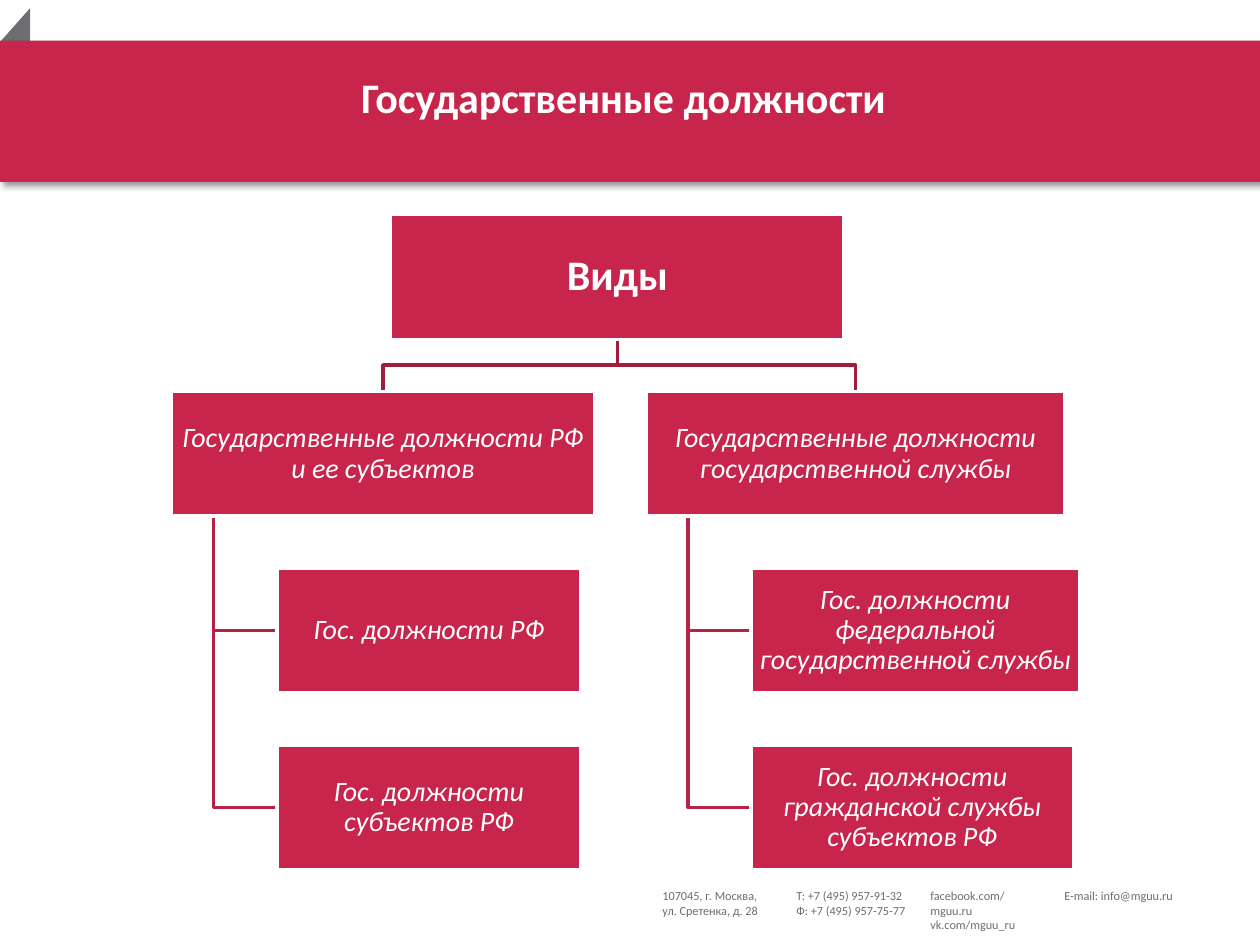
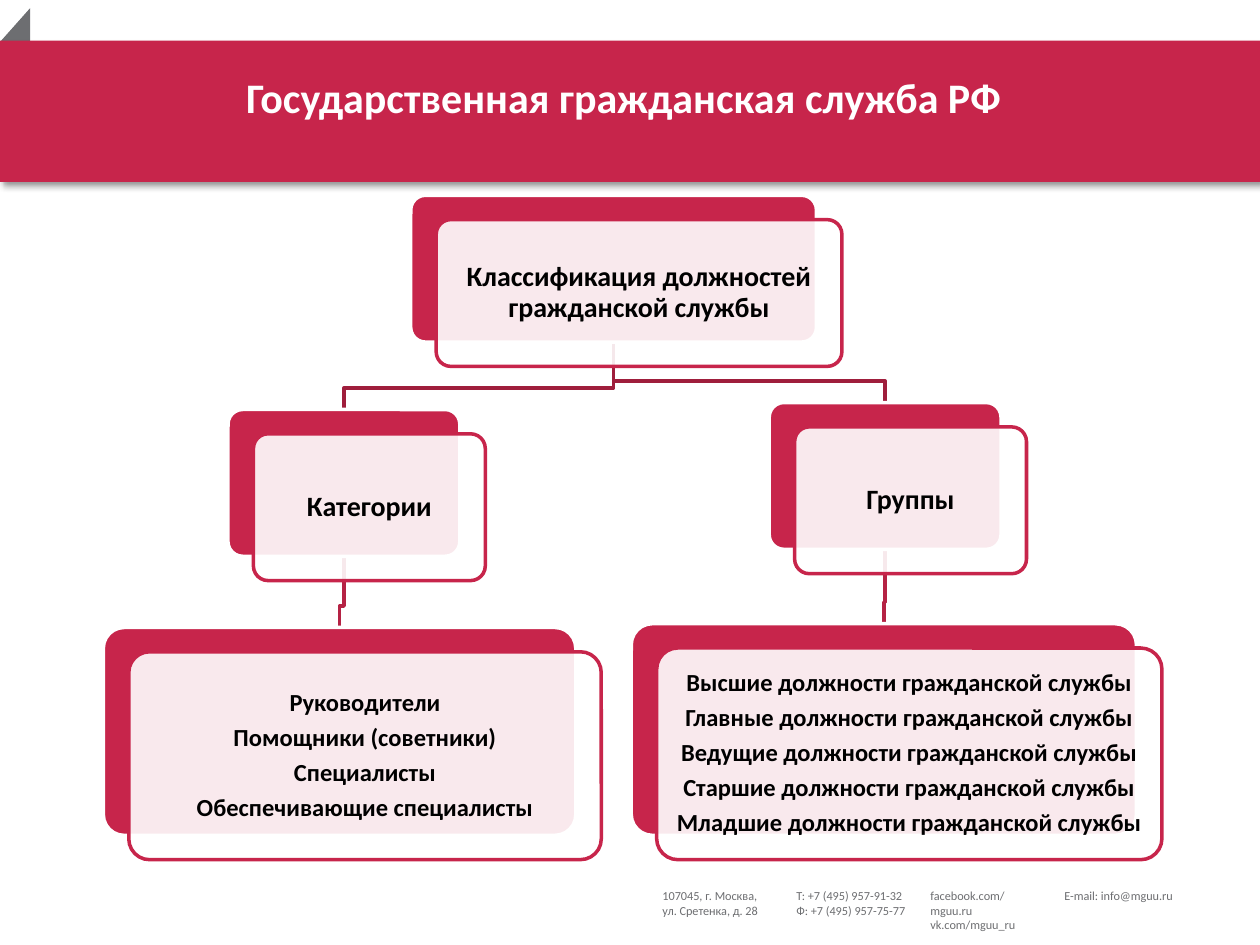
from dataclasses import dataclass
from typing import Iterator

from lxml.etree import SubElement
from pptx import Presentation
from pptx.dml.color import RGBColor
from pptx.enum.shapes import MSO_SHAPE as Shape
from pptx.enum.text import MSO_ANCHOR as Anchor, PP_ALIGN as Align
from pptx.oxml.ns import qn
from pptx.util import Emu, Inches, Pt

COLORS = {
    "crimson": "C7254B",
    "trunk": "9F1E3C",
    "branch": "B52244",
    "grey": "6D6E71",
    "white": "FFFFFF",
    "black": "000000",
}
FONT = "Calibri"

prs = Presentation()
prs.slide_width, prs.slide_height = Inches(10), Inches(7.5)
COL = prs.slide_width / 100
ROW = prs.slide_height / 75

FOOTER_LEFT, FOOTER_TOP, FOOTER_STEP = 51.6, 70, 10.63
FOOTER = [
    ["107045, г. Москва,", "ул. Сретенка, д. 28"],
    ["Т: +7 (495) 957-91-32", "Ф: +7 (495) 957-75-77"],
    ["facebook.com/mguu.ru", "vk.com/mguu_ru"],
    ["E-mail: info@mguu.ru"],
]


@dataclass(frozen=True)
class Area:
    """A rectangle in grid columns and rows."""
    x: float
    y: float
    w: float
    h: float

    @property
    def center_x(self) -> float:
        return self.x + self.w / 2

    @property
    def center_y(self) -> float:
        return self.y + self.h / 2

    @property
    def bottom(self) -> float:
        return self.y + self.h

    def shifted(self, dx: float, dy: float) -> "Area":
        return Area(self.x + dx, self.y + dy, self.w, self.h)

    def emu(self) -> tuple[Emu, Emu, Emu, Emu]:
        return (Emu(round(self.x * COL)), Emu(round(self.y * ROW)),
                Emu(round(self.w * COL)), Emu(round(self.h * ROW)))


@dataclass(frozen=True)
class Style:
    size: float
    color: str
    bold: bool = False
    italic: bool = False
    align: Align = Align.CENTER
    line_spacing: float = 1.0
    after_share: float = 0.0


@dataclass(frozen=True)
class Node:
    lines: list[str]
    area: Area
    style: Style
    children: tuple["Node", ...] = ()
    hanging: bool = False  # children hang off a rail at the left


def rgb(name: str) -> RGBColor:
    return RGBColor.from_string(COLORS[name])


def write(tf, lines: list[str], style: Style) -> None:
    for i, line in enumerate(lines):
        p = tf.paragraphs[0] if i == 0 else tf.add_paragraph()
        p.alignment = style.align
        p.line_spacing = style.line_spacing
        p.space_after = Pt(style.size * style.after_share)
        r = p.add_run()
        r.text = line
        r.font.name, r.font.size = FONT, Pt(style.size)
        r.font.bold, r.font.italic = style.bold, style.italic
        r.font.color.rgb = rgb(style.color)


def add_text(s, area: Area, lines: list[str], style: Style, wrap: bool = True) -> None:
    tf = s.shapes.add_textbox(*area.emu()).text_frame
    tf.word_wrap = wrap
    write(tf, lines, style)


def add_block(s, kind: Shape, area: Area, fill: str, line: str | None = None):
    sp = s.shapes.add_shape(kind, *area.emu())
    sp.shadow.inherit = False
    sp.fill.solid()
    sp.fill.fore_color.rgb = rgb(fill)
    if line:
        sp.line.color.rgb = rgb(line)
        sp.line.width = Pt(2)
    else:
        sp.line.fill.background()
    return sp


def add_path(s, points: list[tuple[float, float]], color: str) -> None:
    pts = [(round(x * COL), round(y * ROW)) for x, y in points]
    builder = s.shapes.build_freeform(*pts[0])
    builder.add_line_segments(pts[1:], close=False)
    sp = builder.convert_to_shape()
    sp.shadow.inherit = False
    sp.fill.background()
    sp.line.color.rgb = rgb(color)
    sp.line.width = Pt(2)


def label(sp, node: Node, inset: float) -> None:
    tf = sp.text_frame
    tf.word_wrap = True
    tf.vertical_anchor = Anchor.MIDDLE
    tf.margin_left = tf.margin_right = tf.margin_top = tf.margin_bottom = Inches(inset)
    write(tf, node.lines, node.style)


def add_plain_box(s, node: Node) -> None:
    label(add_block(s, Shape.RECTANGLE, node.area, "crimson", "white"), node, 0.01)


def add_layered_card(s, node: Node) -> None:
    """A crimson card with a translucent white one in front, shifted down right."""
    front_area = node.area.shifted(2.02, 1.93)
    back = add_block(s, Shape.ROUNDED_RECTANGLE, node.area, "crimson", "white")
    front = add_block(s, Shape.ROUNDED_RECTANGLE, front_area, "white", "crimson")
    back.adjustments[0] = front.adjustments[0] = 0.1
    tint = front.fill._xPr.find(qn("a:solidFill"))[0]
    SubElement(tint, qn("a:alpha"), val="90000")
    label(front, node, 0.07)


def walk(node: Node) -> Iterator[Node]:
    yield node
    for child in node.children:
        yield from walk(child)


def link(s, parent: Node, child: Node, bend: float, color: str) -> None:
    a, b = parent.area, child.area
    if parent.hanging:
        rail = a.x + a.w / 10
        points = [(rail, a.bottom), (rail, b.center_y), (b.x, b.center_y)]
    else:
        turn = b.y - bend
        points = [(a.center_x, a.bottom), (a.center_x, turn),
                  (b.center_x, turn), (b.center_x, b.y)]
    add_path(s, points, color)


def add_tree(s, root: Node, bend: float, draw_node) -> None:
    for parent in walk(root):
        for child in parent.children:
            link(s, parent, child, bend, "trunk" if parent is root else "branch")
    for node in walk(root):
        draw_node(s, node)


def add_band(s) -> None:
    corner = add_block(s, Shape.RIGHT_TRIANGLE, Area(0.7, 1.3, 3.4, 3.8), "grey")
    corner.rotation = 41.6
    band = add_block(s, Shape.RECTANGLE, Area(0, 3.23, 100, 11.2), "crimson")
    effects = band._element.spPr.find(qn("a:effectLst"))
    shadow = SubElement(effects, qn("a:outerShdw"), blurRad=str(Pt(4)), dist=str(Pt(3)),
                        dir="2700000", algn="tl", rotWithShape="0")
    tone = SubElement(shadow, qn("a:srgbClr"), val=COLORS["black"])
    SubElement(tone, qn("a:alpha"), val="40000")


def new_slide(title: str):
    s = prs.slides.add_slide(prs.slide_layouts[6])
    add_band(s)
    for i, lines in enumerate(FOOTER):
        area = Area(FOOTER_LEFT + i * FOOTER_STEP, FOOTER_TOP, FOOTER_STEP, 4.5)
        add_text(s, area, lines, Style(7, "grey", align=Align.LEFT), wrap=False)
    add_text(s, Area(2, 5.2, 95, 9.2), [title], Style(24, "white", bold=True))
    return s


def level(row: int, x: float, w: float) -> Area:
    """A box on one of the four equally spaced levels of the kinds tree."""
    return Area(x, 17.04 + 14.03 * row, w, 9.9)


def build_kinds() -> None:
    head = Style(24, "white", bold=True, line_spacing=0.9, after_share=0.35)
    body = Style(16, "white", italic=True, line_spacing=0.9, after_share=0.35)
    federal = Node(
        ["Государственные должности РФ и ее субъектов"], level(1, 13.6, 33.6), body,
        (Node(["Гос. должности РФ"], level(2, 22, 24.1), body),
         Node(["Гос. должности субъектов РФ"], level(3, 22, 24.1), body)),
        hanging=True)
    service = Node(
        ["Государственные должности государственной службы"], level(1, 51.3, 33.2), body,
        (Node(["Гос. должности федеральной государственной службы"],
              level(2, 59.6, 26.1), body),
         Node(["Гос. должности гражданской службы субъектов РФ"],
              level(3, 59.6, 25.6), body)),
        hanging=True)
    root = Node(["Виды"], level(0, 31, 36), head, (federal, service))
    add_tree(new_slide("Государственные должности"), root, 2.1, add_plain_box)


def build_classes() -> None:
    head = Style(16, "black", bold=True, line_spacing=0.9, after_share=0.35)
    body = Style(14, "black", bold=True, line_spacing=0.9, after_share=0.35)
    staff = Node(["Руководители", "Помощники (советники)", "Специалисты",
                  "Обеспечивающие специалисты"], Area(8.2, 49.8, 37.5, 16.5), body)
    ranks = ["Высшие", "Главные", "Ведущие", "Старшие", "Младшие"]
    posts = Node([f"{rank} должности гражданской службы" for rank in ranks],
                 Area(50.1, 49.5, 40.1, 16.8), body)
    root = Node(
        ["Классификация должностей гражданской службы"], Area(32.6, 15.5, 32.2, 11.65), head,
        (Node(["Категории"], Area(18.1, 32.5, 18.4, 11.65), head, (staff,)),
         Node(["Группы"], Area(61.05, 31.95, 18.4, 11.65), head, (posts,))))
    add_tree(new_slide("Государственная гражданская служба РФ"), root, 1.7, add_layered_card)


def main() -> None:
    build_kinds()
    build_classes()
    prs.save("out.pptx")


if __name__ == "__main__":
    main()
